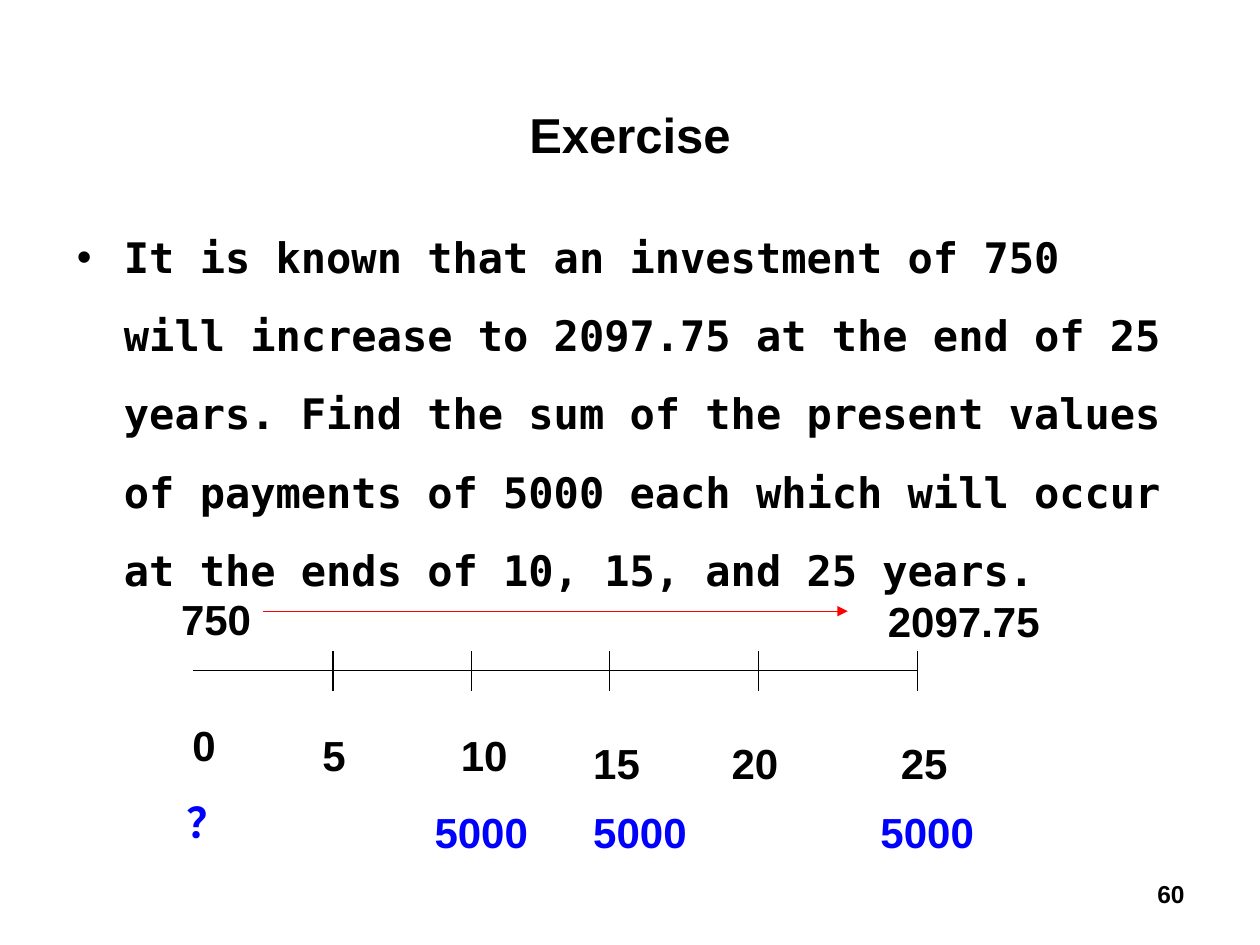
from dataclasses import dataclass

from lxml import etree
from pptx import Presentation
from pptx import util as u
from pptx.dml.color import RGBColor
from pptx.enum import shapes, text
from pptx.oxml.ns import qn


@dataclass(frozen=True)
class Theme:
    ink: str = "000000"
    payment: str = "0000FF"
    growth: str = "FF0000"
    sans: str = "Arial"
    mono: str = "DejaVu Sans Mono"
    serif: str = "Times New Roman"
    title_size: int = 28
    body_size: int = 24
    number_size: int = 14
    line_width: float = 0.75


THEME = Theme()

# Content: all positions and widths are in centimetres
TITLE = "Exercise"
QUESTION = (
    "It is known that an investment of 750 will increase to 2097.75 at the end "
    "of 25 years. Find the sum of the present values of payments of 5000 each "
    "which will occur at the ends of 10, 15, and 25 years."
)
PAGE_NUMBER = "60"

AXIS_START, AXIS_Y = 3.89, 13.51
TICKS = [6.71, 9.5, 12.29, 15.29, 18.49]
TICK_TOP, TICK_BOTTOM = 13.13, 13.92
GROWTH_ARROW = (5.31, 12.32, 17.09, 12.32)
LABEL_HEIGHT = 1.7

# Label text, left, top, width
AMOUNTS = [("750", 3.4, 11.43, 1.93), ("2097.75", 17.65, 11.48, 3.61)]
YEARS = [
    ("0", 3.63, 13.97, 0.99),
    ("5", 6.25, 14.17, 0.99),
    ("10", 9.04, 14.17, 1.47),
    ("15", 11.71, 14.33, 1.47),
    ("20", 14.5, 14.33, 1.47),
    ("25", 17.91, 14.33, 1.47),
]
PAYMENTS = [("5000", left, 15.72, 2.41) for left in (8.51, 11.71, 17.5)]
UNKNOWN = ("？", 3.51, 15.52, 1.37)


def add_text(slide, content, box, size, font=THEME.sans, color=THEME.ink,
             align=text.PP_ALIGN.LEFT, anchor=text.MSO_ANCHOR.TOP, wrap=True):
    shape = slide.shapes.add_textbox(*map(u.Cm, box))
    frame = shape.text_frame
    frame.text = content
    frame.word_wrap = wrap
    frame.vertical_anchor = anchor
    paragraph = frame.paragraphs[0]
    paragraph.alignment = align
    style = paragraph.runs[0].font
    style.name, style.size, style.bold = font, u.Pt(size), True
    style.color.rgb = RGBColor.from_string(color)
    return paragraph


def add_label(slide, label, color=THEME.ink, font=THEME.sans):
    content, left, top, width = label
    paragraph = add_text(slide, content, (left, top, width, LABEL_HEIGHT),
                         THEME.body_size, font, color, wrap=False)
    paragraph.line_spacing = 1.4
    paragraph.space_before = u.Pt(3)


def add_line(slide, ends, color=THEME.ink, arrow=False):
    line = slide.shapes.add_connector(shapes.MSO_CONNECTOR.STRAIGHT,
                                      *map(u.Cm, ends))
    line.line.color.rgb = RGBColor.from_string(color)
    line.line.width = u.Pt(THEME.line_width)
    if arrow:
        etree.SubElement(line.line._get_or_add_ln(), qn("a:tailEnd"),
                         type="triangle")
    etree.SubElement(line._element.spPr, qn("a:effectLst"))


def add_bullet(paragraph, indent):
    properties = paragraph._p.get_or_add_pPr()
    properties.set("marL", str(u.Cm(indent)))
    properties.set("indent", str(-u.Cm(indent)))
    etree.SubElement(properties, qn("a:buFont"), typeface=THEME.sans)
    etree.SubElement(properties, qn("a:buChar"), char="•")


def main():
    presentation = Presentation()
    presentation.slide_width, presentation.slide_height = u.Cm(25.4), u.Cm(19.05)
    slide = presentation.slides.add_slide(presentation.slide_layouts[6])

    # Page number, title and question
    add_text(slide, PAGE_NUMBER, (18.21, 17.35, 5.92, 1.32), THEME.number_size,
             align=text.PP_ALIGN.RIGHT, anchor=text.MSO_ANCHOR.MIDDLE)
    add_text(slide, TITLE, (1.27, 1.98, 22.86, 2.18), THEME.title_size,
             align=text.PP_ALIGN.CENTER)
    question = add_text(slide, QUESTION, (1.3, 3.99, 22.8, 12.17),
                        THEME.body_size, THEME.mono)
    question.line_spacing = 1.55
    add_bullet(question, 0.95)

    # Time axis with its ticks and the growth arrow
    add_line(slide, (AXIS_START, AXIS_Y, TICKS[-1], AXIS_Y))
    for tick in TICKS:
        add_line(slide, (tick, TICK_TOP, tick, TICK_BOTTOM))
    add_line(slide, GROWTH_ARROW, THEME.growth, arrow=True)

    # Labels above and below the axis
    for label in AMOUNTS + YEARS:
        add_label(slide, label)
    for label in PAYMENTS:
        add_label(slide, label, THEME.payment)
    add_label(slide, UNKNOWN, THEME.payment, THEME.serif)

    presentation.save("out.pptx")


if __name__ == "__main__":
    main()
